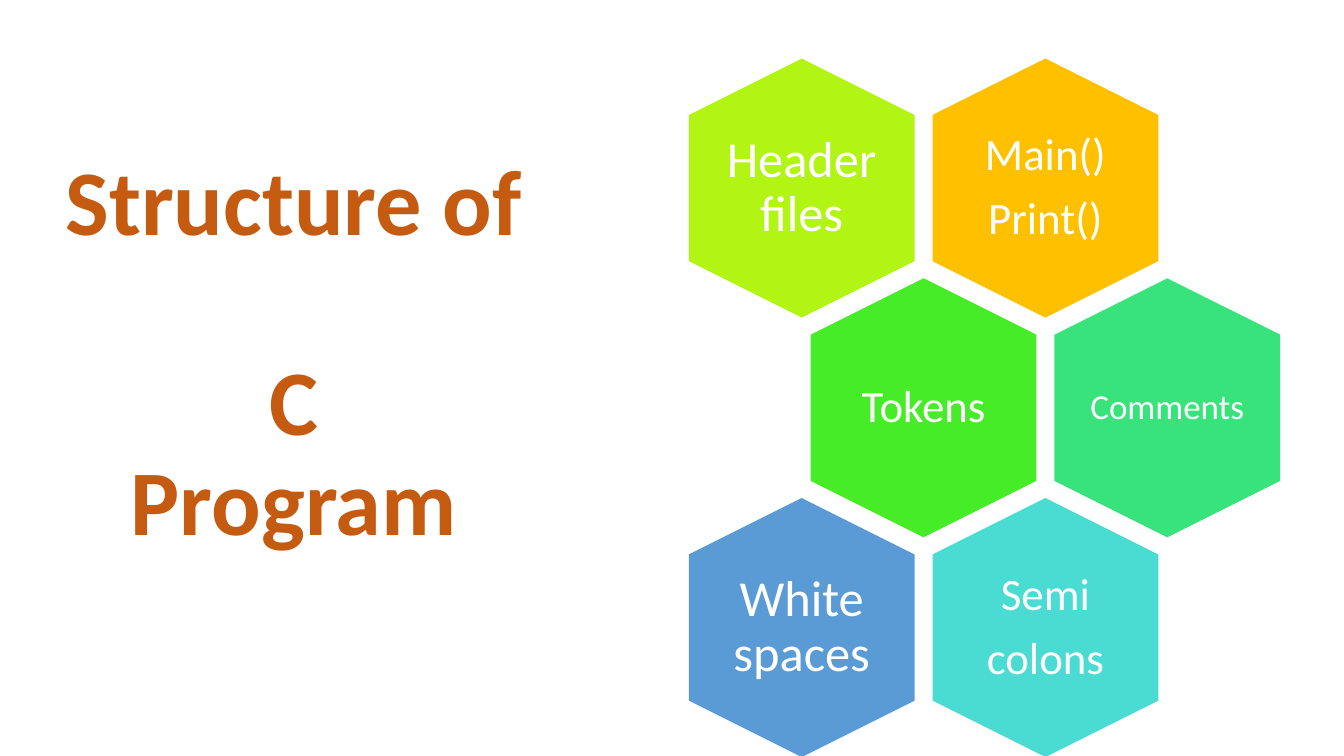
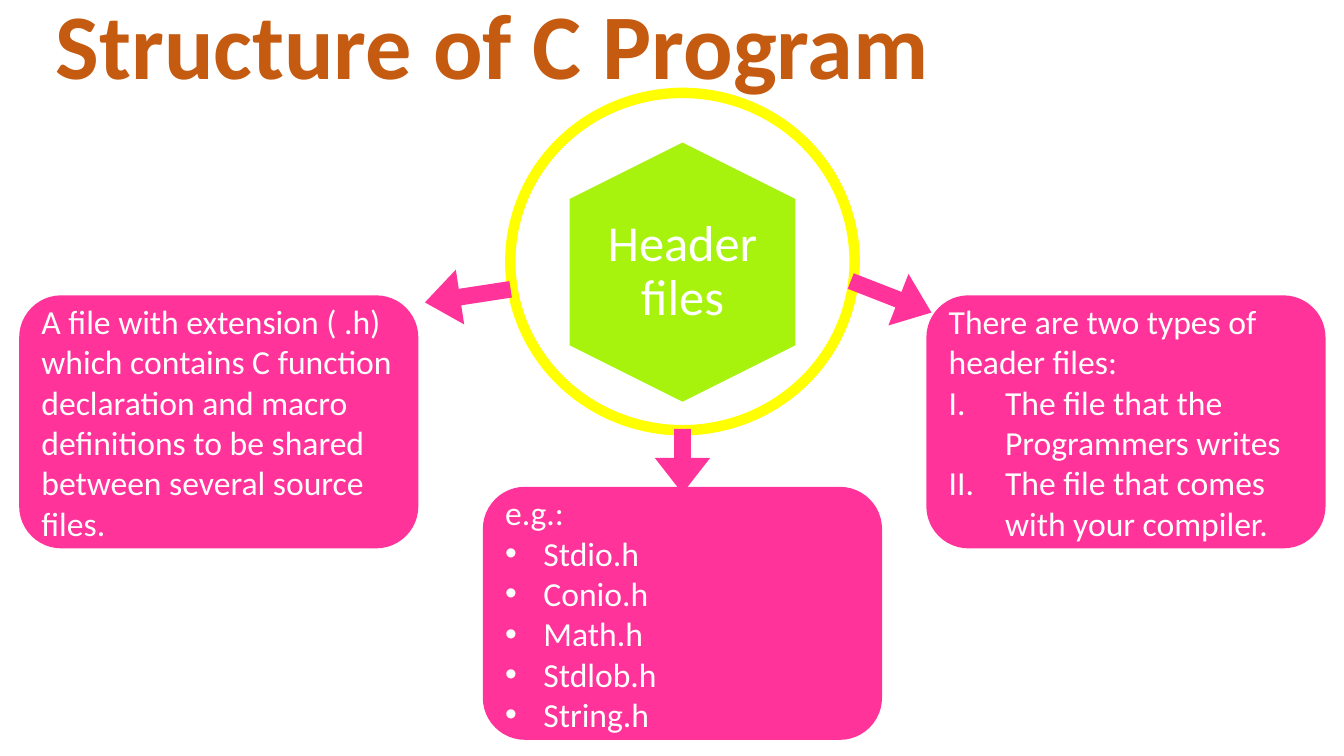
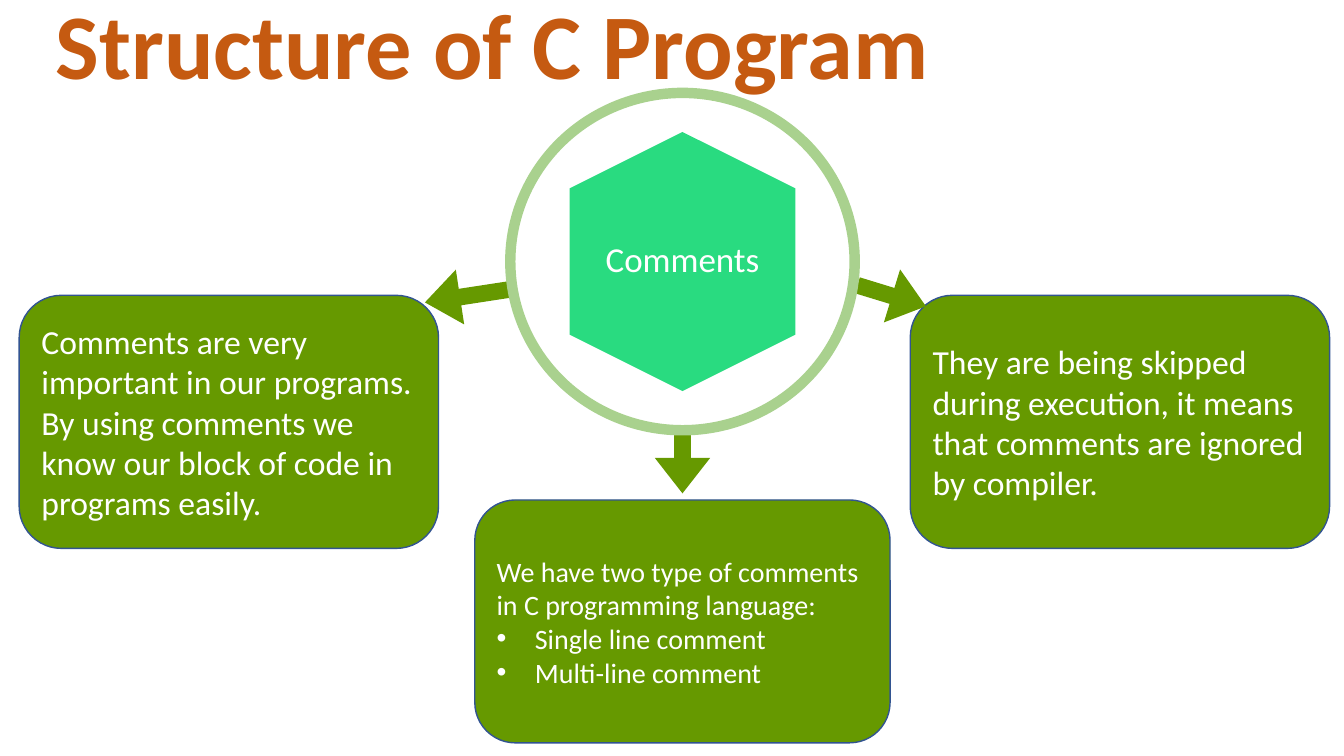
from dataclasses import dataclass

from lxml.etree import SubElement
from pptx import Presentation
from pptx.dml.color import RGBColor
from pptx.enum.shapes import MSO_SHAPE
from pptx.enum.text import MSO_ANCHOR, MSO_AUTO_SIZE, PP_ALIGN
from pptx.oxml.ns import qn
from pptx.util import Inches, Pt

SLIDE_WIDTH, SLIDE_HEIGHT = Inches(13.33), Inches(7.5)
COLUMN, ROW = SLIDE_WIDTH / 100, SLIDE_HEIGHT / 100
HEXAGON_COLUMNS, HEXAGON_ROWS = 16.8, 34.27
FONT = "Calibri"

WHITE = RGBColor(0xFF, 0xFF, 0xFF)
RUST = RGBColor(0xC5, 0x5A, 0x11)
AMBER = RGBColor(0xFF, 0xC0, 0x00)
LIME = RGBColor(0xB2, 0xF5, 0x14)
BRIGHT_LIME = RGBColor(0xA7, 0xF3, 0x0E)
GREEN = RGBColor(0x46, 0xEC, 0x27)
MINT = RGBColor(0x39, 0xE3, 0x7B)
DEEP_MINT = RGBColor(0x29, 0xDB, 0x80)
TURQUOISE = RGBColor(0x4A, 0xDC, 0xD2)
BLUE = RGBColor(0x5B, 0x9B, 0xD5)
YELLOW = RGBColor(0xFF, 0xFF, 0x00)
PINK = RGBColor(0xFF, 0x33, 0x99)
OLIVE = RGBColor(0x66, 0x99, 0x00)
PALE_GREEN = RGBColor(0xA9, 0xD1, 0x8E)
NAVY = RGBColor(0x32, 0x54, 0x91)


@dataclass
class Box:
    """A region measured on a grid of 100 columns by 100 rows."""
    left: float
    top: float
    width: float
    height: float

    def emu(self):
        return (round(self.left * COLUMN), round(self.top * ROW),
                round(self.width * COLUMN), round(self.height * ROW))

    def centred(self, width, height, drop=0):
        return Box(self.left + (self.width - width) / 2,
                   self.top + (self.height - height) / 2 + drop, width, height)


@dataclass
class Item:
    """A paragraph with a bullet or a Roman number."""
    text: str
    numbered: bool = False


@dataclass
class Branch:
    panel: Box
    arrow: Box
    turn: float
    lines: list
    size: int = 24


TITLE_BOX = Box(0, 0, 73.3, 13.87)
HUB_BOX = Box(37.58, 11.6, 26.4, 46)
LEFT_ARROW = Box(31.58, 35.47, 6.45, 7.33)
DOWN_ARROW = Box(48.38, 57.33, 4.8, 7.33)


def style(para, size, colour=WHITE, bold=False):
    para.font.name = FONT
    para.font.size = Pt(size)
    para.font.bold = bold
    para.font.color.rgb = colour


def add_marker(para, numbered):
    indent = Inches(0.56 if numbered else 0.38)
    properties = para._p.get_or_add_pPr()
    properties.set("marL", str(indent))
    properties.set("indent", str(-indent))
    if numbered:
        SubElement(properties, qn("a:buFont"), typeface="+mj-lt")
        SubElement(properties, qn("a:buAutoNum"), type="romanUcPeriod")
    else:
        SubElement(properties, qn("a:buFont"), typeface="Arial")
        SubElement(properties, qn("a:buChar"), char="•")


def paragraphs(frame, count):
    """Yield the given number of paragraphs, starting with the one there."""
    yield frame.paragraphs[0]
    for _ in range(count - 1):
        yield frame.add_paragraph()


def add_titled_page(deck, box, lines, gap=0):
    """Add a page; gap is the space in points below the first title line."""
    page = deck.slides.add_slide(deck.slide_layouts[5])
    title = page.shapes.title
    title.left, title.top, title.width, title.height = box.emu()
    frame = title.text_frame
    frame.auto_size = MSO_AUTO_SIZE.NONE
    frame.word_wrap = True
    frame.vertical_anchor = MSO_ANCHOR.BOTTOM
    for para, line in zip(paragraphs(frame, len(lines)), lines):
        para.text = line
        para.alignment = PP_ALIGN.CENTER
        para.line_spacing = 0.9
        para.space_before = Pt(0)
        style(para, 66, RUST, bold=True)
    frame.paragraphs[0].space_after = Pt(gap)
    return page


def add_solid(page, kind, position, fill, outline=None):
    shape = page.shapes.add_shape(kind, *position)
    shape.shadow.inherit = False
    shape.fill.solid()
    shape.fill.fore_color.rgb = fill
    if outline is None:
        shape.line.fill.background()
    else:
        shape.line.color.rgb = outline
        shape.line.width = Pt(1)
    return shape


def add_hexagon(page, box, fill, lines, size):
    """Add a hexagon standing on its point, with upright text over it."""
    left, top, width, height = box.emu()
    shift = (height - width) // 2
    hexagon = add_solid(page, MSO_SHAPE.HEXAGON,
                        (left - shift, top + shift, height, width), fill)
    hexagon.rotation = 90

    label = box.centred(box.width * 0.69, box.height * 0.69)
    frame = page.shapes.add_textbox(*label.emu()).text_frame
    frame.word_wrap = True
    frame.vertical_anchor = MSO_ANCHOR.MIDDLE
    frame.margin_left = frame.margin_right = 0
    frame.margin_top = frame.margin_bottom = 0
    for para, line in zip(paragraphs(frame, len(lines)), lines):
        para.text = line
        para.alignment = PP_ALIGN.CENTER
        para.line_spacing = 0.9
        para.space_after = Pt(size * 0.35)
        style(para, size)


def add_honeycomb(page, box, rows):
    """Fill the box with rows of two hexagons, odd rows half a step right."""
    step_x = (box.width - HEXAGON_COLUMNS) / 1.5
    step_y = (box.height - HEXAGON_ROWS) / (len(rows) - 1)
    for row, cells in enumerate(rows):
        for column, (fill, lines, size) in enumerate(cells):
            cell = Box(box.left + (column + row % 2 / 2) * step_x,
                       box.top + row * step_y, HEXAGON_COLUMNS, HEXAGON_ROWS)
            add_hexagon(page, cell, fill, lines, size)


def add_hub(page, box, ring_fill, fill, lines, size, drop=0):
    """Add a ring with a hexagon in it, drop rows below its centre."""
    ring = add_solid(page, MSO_SHAPE.DONUT, box.emu(), ring_fill)
    ring.adjustments[0] = 0.03
    add_hexagon(page, box.centred(HEXAGON_COLUMNS, HEXAGON_ROWS, drop),
                fill, lines, size)


def add_branch(page, branch, fill, outline=None):
    """Add a text panel and the arrow that leads to it."""
    panel = add_solid(page, MSO_SHAPE.ROUNDED_RECTANGLE,
                      branch.panel.emu(), fill, outline)
    frame = panel.text_frame
    frame.word_wrap = True
    frame.vertical_anchor = MSO_ANCHOR.MIDDLE
    for para, line in zip(paragraphs(frame, len(branch.lines)), branch.lines):
        para.alignment = PP_ALIGN.LEFT
        if isinstance(line, Item):
            para.text = line.text
            add_marker(para, line.numbered)
        else:
            para.text = line
        style(para, branch.size)

    arrow = add_solid(page, MSO_SHAPE.RIGHT_ARROW, branch.arrow.emu(), fill)
    arrow.rotation = branch.turn
    arrow.adjustments[0] = 0.3
    arrow.adjustments[1] = 0.64


def build_overview(deck):
    page = add_titled_page(deck, Box(3.9, 33.87, 35.93, 40.27),
                           ["Structure of", "C", "Program"], gap=72)
    add_honeycomb(page, Box(51.25, 7.75, 44, 92.4), [
        [(LIME, ["Header files"], 36), (AMBER, ["Main()", "Print()"], 32)],
        [(GREEN, ["Tokens"], 32), (MINT, ["Comments"], 25)],
        [(BLUE, ["White spaces"], 36), (TURQUOISE, ["Semi", "colons"], 32)],
    ])


def build_header_files(deck):
    page = add_titled_page(deck, TITLE_BOX, ["Structure of C Program"])
    add_hub(page, HUB_BOX, YELLOW, BRIGHT_LIME, ["Header files"], 36, drop=1.4)
    libraries = ["Stdio.h", "Conio.h", "Math.h", "Stdlob.h", "String.h"]
    branches = [
        Branch(Box(1.43, 39.07, 29.7, 33.47), LEFT_ARROW, 171.3,
               ["A file with extension ( .h) which contains C function "
                "declaration and macro definitions to be shared between "
                "several source files."]),
        Branch(Box(68.93, 39.07, 29.7, 33.47),
               Box(63.08, 35.6, 6.45, 7.33), 21.3,
               ["There are two types of header files:",
                Item("The file that the Programmers writes", numbered=True),
                Item("The file that comes with your compiler.",
                     numbered=True)]),
        Branch(Box(35.93, 64.4, 29.7, 33.47), DOWN_ARROW, 90,
               ["e.g.:", *map(Item, libraries)]),
    ]
    for branch in branches:
        add_branch(page, branch, PINK)


def build_comments(deck):
    page = add_titled_page(deck, TITLE_BOX, ["Structure of C Program"])
    branches = [
        Branch(Box(1.43, 39.07, 31.2, 33.47), LEFT_ARROW, 171.3,
               ["Comments are very important in our programs.",
                "By using comments we know our block of code in programs "
                "easily."]),
        Branch(Box(67.73, 39.07, 31.2, 33.47),
               Box(63.68, 35.47, 5.33, 7.33), 17,
               ["They are being skipped during execution, it means that "
                "comments are ignored by compiler."]),
        Branch(Box(35.33, 66.13, 30.9, 32.13), DOWN_ARROW, 90,
               ["We have two type of comments in C programming language:",
                Item("Single line comment"), Item("Multi-line comment")],
               size=20),
    ]
    for branch in branches:
        add_branch(page, branch, OLIVE, NAVY)
    add_hub(page, HUB_BOX, PALE_GREEN, DEEP_MINT, ["Comments"], 25)


def main():
    deck = Presentation()
    deck.slide_width, deck.slide_height = SLIDE_WIDTH, SLIDE_HEIGHT
    build_overview(deck)
    build_header_files(deck)
    build_comments(deck)
    deck.save("out.pptx")


if __name__ == "__main__":
    main()
